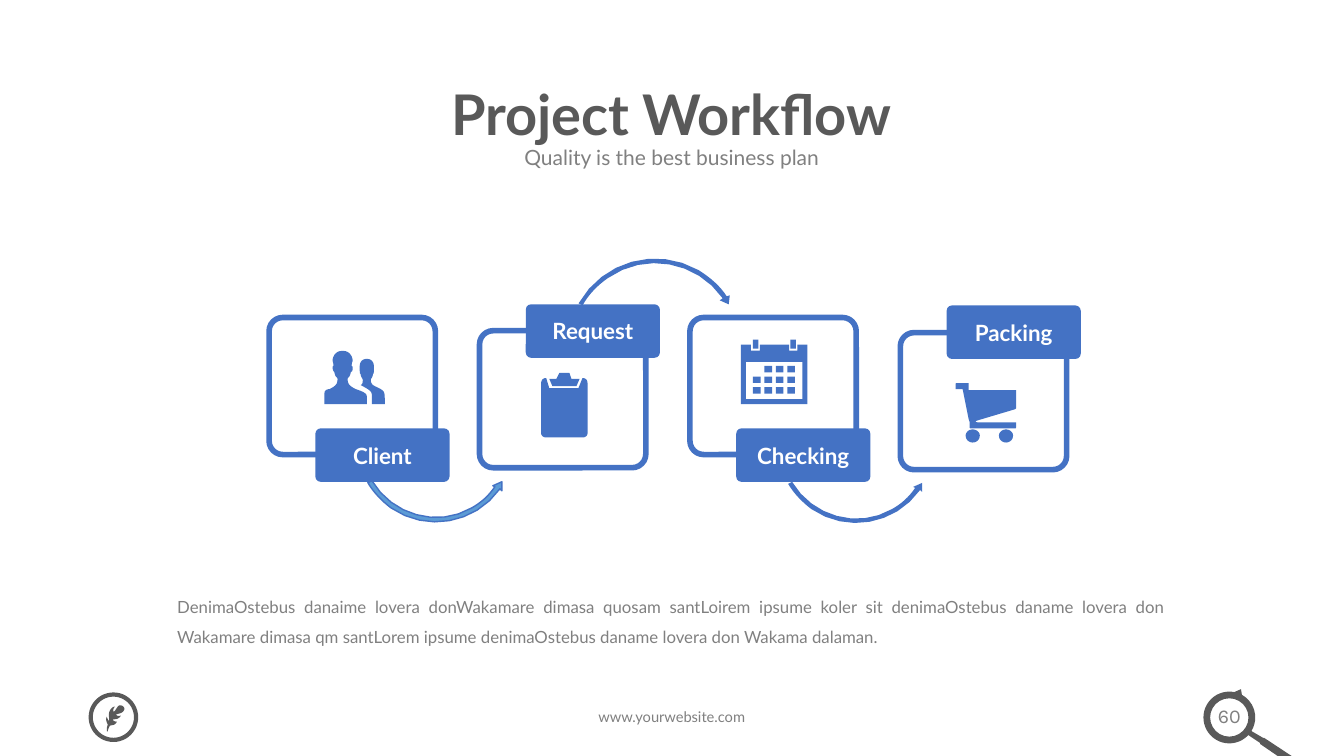
from dataclasses import dataclass

from pptx import Presentation
from pptx.dml.color import RGBColor
from pptx.enum import shapes, text
from pptx.util import Pt

BLUE = RGBColor(0x44, 0x72, 0xC4)
LIGHT_BLUE = RGBColor(0x5B, 0x9B, 0xD5)
DARK = RGBColor(0x59, 0x59, 0x59)
GRAY = RGBColor(0x80, 0x80, 0x80)
WHITE = RGBColor(0xFF, 0xFF, 0xFF)

GRID = 0.72
CURVE_STEPS = 8
CARD_W, CARD_H, CARD_LEFT, CARD_PITCH = 118.8, 97.9, 192.2, 150.3
LABEL_W, LABEL_H, LABEL_SHIFT = 95.8, 38.2, 33.1

SHAPE = shapes.MSO_SHAPE
ALIGN = text.PP_ALIGN
ANCHOR = text.MSO_ANCHOR


@dataclass
class Stage:
    name: str
    card_top: float
    label_top: float


@dataclass
class Outline:
    left: float
    top: float
    contours: str
    fill: RGBColor = BLUE
    line: RGBColor | None = None


@dataclass
class Caption:
    words: str
    left: float
    top: float
    width: float
    height: float
    size: float
    color: RGBColor = GRAY
    bold: bool = False
    font: str = "Lato"
    align: ALIGN = ALIGN.CENTER
    anchor: ANCHOR = ANCHOR.TOP
    spacing: float = 1.0


STAGES = [
    Stage("Client", 226.8, 306),
    Stage("Request", 236.2, 217.4),
    Stage("Checking", 226.8, 306),
    Stage("Packing", 237.6, 218.2),
]

PEOPLE = Outline(231.8, 250.6, (
    "31,38 25,35,23,33,23,28 23,26,25,27,26,22 26,20,28,22,28,17 28,15,27,15,27,15 "
    "27,15,27,12,28,10 28,7,26,0,18,0 10,0,8,7,8,10 9,12,9,15,9,15 9,15,8,15,8,17 "
    "9,22,10,20,10,22 11,27,13,26,13,28 13,33,11,35,5,38 3,38,0,39,0,42 0,53 42,53 "
    "42,53,42,47,42,45 42,42,37,40,31,38 / "
    "60,53 60,53,60,42,59,41 58,39,56,38,52,36 47,34,46,32,46,29 46,27,47,28,48,24 "
    "48,22,49,24,49,20 49,19 49,19,49,17,49,15 49,13,48,8,42,8 36,8,35,13,35,15 "
    "35,17,35,19,35,19 35,20 35,24,36,22,36,24 37,28,38,27,38,29 38,31,38,33,36,34 "
    "45,39,47,40,47,44 47,53"))
CLIPBOARD = Outline(386.6, 270, (
    "41,0 37,10 8,10 5,0 2,0,0,2,0,5 0,55 0,57,2,59,5,59 41,59 44,59,46,57,46,55 "
    "46,5 46,2,44,0,41,0"))
CLIP = Outline(392.4, 266.4, "27,13 30,6 22,6 20,0 10,0 7,6 0,6 3,13")
CALENDAR = Outline(529.2, 246.2, (
    "66,0 56,0 56,6 48,6 48,0 19,0 19,6 10,6 10,0 0,0 0,59 66,59 / "
    "61,54 5,54 5,17 61,17"))
CART = Outline(682.6, 273.6, (
    "22,37 59,26 59,26,60,25,60,25 60,7 13,7 13,1 13,0,13,0,12,0 2,0 1,0,0,0,0,1 "
    "0,6 7,6 13,36 14,39 14,44 14,45,15,45,15,45 59,45 59,45,60,45,60,44 60,39 23,39 "
    "19,39,19,38,22,37 / "
    "43,52 43,56,46,59,50,59 54,59,57,56,57,52 57,49,54,46,50,46 46,46,43,49,43,52 / "
    "10,52 10,56,13,59,17,59 21,59,24,56,24,52 24,49,21,46,17,46 13,46,10,49,10,52"))

LOWER_ARROW = (
    "0,2 4,0 24,34,69,47,103,27 112,22,120,15,126,6 124,5 133,1 133,10 131,8 "
    "106,43,58,51,23,27 14,20,6,12,0,2")
UPPER_ARROW = (
    "0,44 24,2,77,-13,119,11 130,18,140,26,147,37 150,36 149,45 140,41 143,39 "
    "117,2,66,-7,29,19 19,26,10,35,4,46")
ARROWS = [
    Outline(262.8, 343.4, LOWER_ARROW, LIGHT_BLUE, BLUE),
    Outline(413.3, 185, UPPER_ARROW),
    Outline(563, 344.2, LOWER_ARROW),
]

HANDLE = Outline(891.4, 522, (
    "0,4 12,12 12,13 50,39 52,40,53,39,54,37 54,37,57,35,54,32 16,7 15,7 3,0"), DARK)
FEATHER = Outline(75.6, 504, (
    "2,25 2,24,3,22,4,20 7,19,9,20,11,16 9,16,7,15,7,14 7,13,12,15,15,10 "
    "11,11,10,9,10,9 12,8,15,8,17,6 18,5,19,3,18,2 18,1,15,-1,13,0 12,0,9,6,8,6 "
    "7,6,7,3,9,1 7,1,5,3,4,5 2,8,4,15,3,15 3,16,1,12,1,11 0,13,0,15,2,19 "
    "1,21,1,23,1,25 1,26,2,26,2,25"), DARK)

CAPTIONS = [
    Caption("Project Workflow", 119.5, 54, 720, 59, 40, DARK, True,
            anchor=ANCHOR.MIDDLE, spacing=0.9),
    Caption("Quality is the best business plan", 192.2, 99.4, 575.3, 28, 15),
    Caption("DenimaOstebus danaime lovera donWakamare dimasa quosam santLoirem ipsume "
            "koler sit denimaOstebus daname lovera don Wakamare dimasa qm santLorem "
            "ipsume denimaOstebus daname lovera don Wakama dalaman.",
            119.5, 415.4, 720, 48.2, 12, align=ALIGN.JUSTIFY, spacing=1.5),
    Caption("www.yourwebsite.com", 306, 501.8, 347.8, 20.9, 10.5),
    Caption("60", 856.1, 499, 43.9, 24.5, 14, font="Karla"),
]


def paint(s, fill: RGBColor | None, line: RGBColor | None = None, weight: float = 1):
    s.shadow.inherit = False
    if fill is None:
        s.fill.background()
    else:
        s.fill.solid()
        s.fill.fore_color.rgb = fill
    if line is None:
        s.line.fill.background()
    else:
        s.line.color.rgb = line
        s.line.width = Pt(weight)
    return s


def add_preset(sp, kind: SHAPE, left: float, top: float, width: float, height: float,
               fill: RGBColor | None, line: RGBColor | None = None, weight: float = 1):
    s = sp.add_shape(kind, Pt(left), Pt(top), Pt(width), Pt(height))
    return paint(s, fill, line, weight)


def trace(contour: str) -> list[tuple[int, int]]:
    points: list[tuple[float, float]] = []
    for word in contour.split():
        v = [float(n) for n in word.split(",")]
        if len(v) == 2:
            points.append((v[0], v[1]))
            continue
        knots = [points[-1], (v[0], v[1]), (v[2], v[3]), (v[4], v[5])]
        for step in range(1, CURVE_STEPS + 1):
            t = step / CURVE_STEPS
            weights = ((1 - t) ** 3, 3 * t * (1 - t) ** 2, 3 * t * t * (1 - t), t ** 3)
            points.append((sum(w * k[0] for w, k in zip(weights, knots)),
                           sum(w * k[1] for w, k in zip(weights, knots))))
    return [(Pt(x * GRID), Pt(y * GRID)) for x, y in points]


def add_outline(sp, outline: Outline) -> None:
    first, *others = [trace(c) for c in outline.contours.split("/")]
    builder = sp.build_freeform(*first[0])
    builder.add_line_segments(first[1:])
    for points in others:
        builder.move_to(*points[0])
        builder.add_line_segments(points[1:])
    s = builder.convert_to_shape(Pt(outline.left), Pt(outline.top))
    paint(s, outline.fill, outline.line)


def write(tf, words: str, size: float, color: RGBColor, bold: bool,
          font: str, align: ALIGN, anchor: ANCHOR, spacing: float = 1.0) -> None:
    tf.word_wrap = True
    tf.vertical_anchor = anchor
    tf.text = words
    p = tf.paragraphs[0]
    p.alignment = align
    p.line_spacing = spacing
    r = p.runs[0]
    r.font.name, r.font.size, r.font.bold = font, Pt(size), bold
    r.font.color.rgb = color


def add_caption(sp, c: Caption) -> None:
    s = sp.add_textbox(Pt(c.left), Pt(c.top), Pt(c.width), Pt(c.height))
    write(s.text_frame, c.words, c.size, c.color, c.bold, c.font, c.align, c.anchor,
          c.spacing)


def add_calendar_details(sp) -> None:
    for row in range(3):
        for column in range(1 if row == 0 else 0, 4):
            add_preset(sp, SHAPE.RECTANGLE, 537.8 + 8.2 * column, 261.4 + 7.6 * row,
                       5.5, 4.6, BLUE)
    for left in (537.8, 564.5):
        add_preset(sp, SHAPE.RECTANGLE, left, 242.6, 4, 6.5, BLUE)


def main() -> None:
    prs = Presentation()
    prs.slide_width, prs.slide_height = Pt(960), Pt(540)
    sp = prs.slides.add_slide(prs.slide_layouts[6]).shapes

    lefts = [CARD_LEFT + CARD_PITCH * i for i in range(len(STAGES))]
    for left, stage in zip(lefts, STAGES):
        s = add_preset(sp, SHAPE.ROUNDED_RECTANGLE, left, stage.card_top,
                       CARD_W, CARD_H, None, BLUE, 4)
        s.adjustments[0] = 0.1
    for outline in (PEOPLE, CLIPBOARD, CLIP, CALENDAR, CART, *ARROWS):
        add_outline(sp, outline)
    add_calendar_details(sp)
    for left, stage in zip(lefts, STAGES):
        s = add_preset(sp, SHAPE.ROUNDED_RECTANGLE, left + LABEL_SHIFT, stage.label_top,
                       LABEL_W, LABEL_H, BLUE)
        s.adjustments[0] = 0.1
        write(s.text_frame, stage.name, 16, WHITE, True, "Lato", ALIGN.CENTER,
              ANCHOR.MIDDLE)

    for caption in CAPTIONS:
        add_caption(sp, caption)

    lens = add_preset(sp, SHAPE.DONUT, 859.6, 494, 37, 37, DARK)
    lens.adjustments[0] = 0.13
    tip = add_preset(sp, SHAPE.RIGHT_ARROW, 880.6, 491.8, 7.9, 7.9, DARK)
    tip.adjustments[0], tip.adjustments[1] = 0.32, 0.64
    tip.rotation = 298.7
    add_outline(sp, HANDLE)
    add_preset(sp, SHAPE.OVAL, 64.8, 496.1, 32.4, 32.4, None, DARK, 3)
    add_outline(sp, FEATHER)

    prs.save("out.pptx")


if __name__ == "__main__":
    main()
